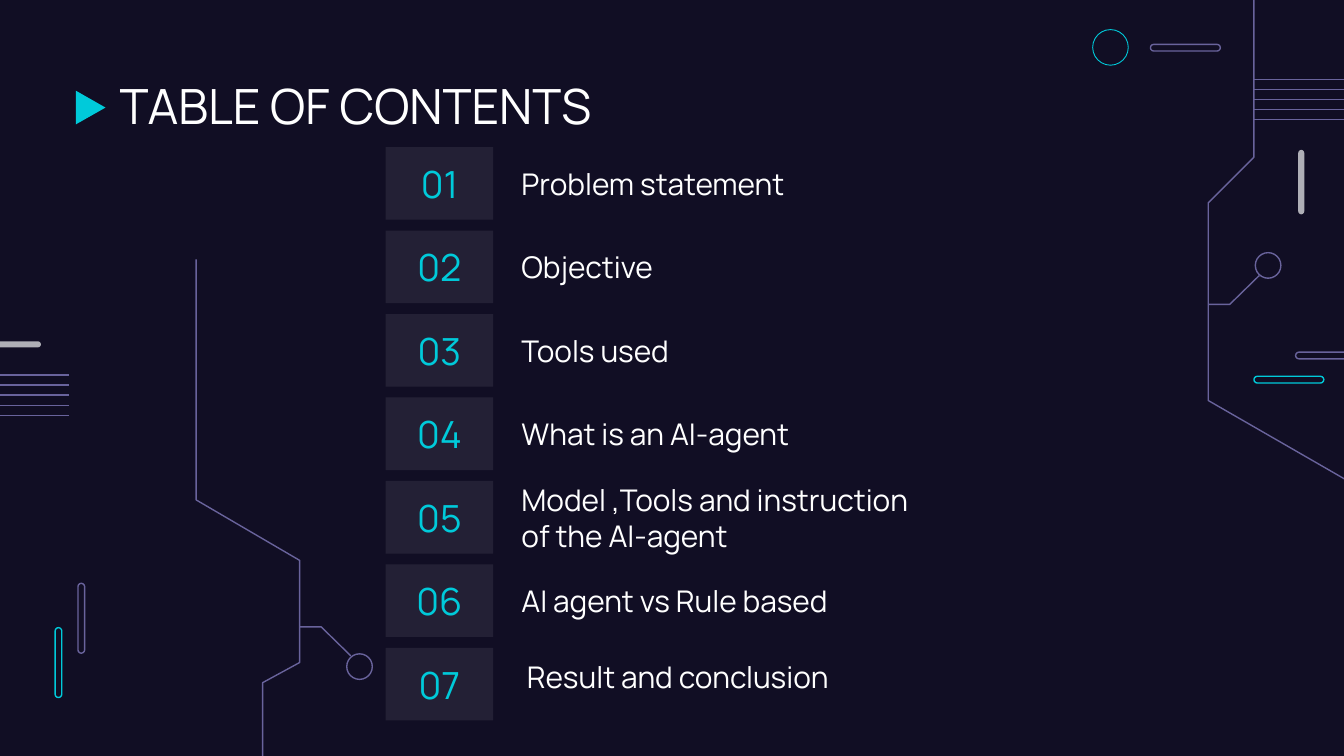
"""Build a table of contents slide framed by circuit lines."""
from copy import deepcopy
from lxml.etree import SubElement
from pptx import Presentation
from pptx.dml.color import RGBColor
from pptx.enum.shapes import MSO_CONNECTOR, MSO_SHAPE
from pptx.enum.text import MSO_ANCHOR, MSO_AUTO_SIZE, PP_ALIGN
from pptx.oxml.ns import qn
from pptx.util import Inches, Pt

NIGHT, CYAN, MAUVE, GREY, WHITE = "110E24", "00CADA", "69639C", "AFAFB6", "FFFFFF"
PILL, RING = MSO_SHAPE.ROUNDED_RECTANGLE, MSO_SHAPE.OVAL
TOP, MID = MSO_ANCHOR.TOP, MSO_ANCHOR.MIDDLE
LEFT, MIDST = PP_ALIGN.LEFT, PP_ALIGN.CENTER
TOPICS = ["Problem statement", "Objective", "Tools used", "What is an AI-agent",
          "Model ,Tools and instruction \vof the AI-agent", "AI agent vs Rule based",
          "Result and conclusion"]


def tint(fill, hue):
    """Fill with a hex colour, or clear the fill when there is none."""
    if hue:
        fill.solid()
        fill.fore_color.rgb = RGBColor.from_string(hue)
    else:
        fill.background()


def write(shape, text, size, hue, align, anchor):
    """Set the text of a shape and its format."""
    frame, pad = shape.text_frame, Inches(0.1)
    frame.text = text
    para = frame.paragraphs[0]
    looks = [
        (frame, {"word_wrap": True, "auto_size": MSO_AUTO_SIZE.NONE, "vertical_anchor": anchor,
                 "margin_left": pad, "margin_right": pad, "margin_top": pad, "margin_bottom": pad}),
        (para, {"alignment": align, "line_spacing": 1.0, "space_before": Pt(0)})]
    looks += [(run.font, {"name": "Manrope", "size": Pt(size), "bold": False}) for run in para.runs]
    for part, look in looks:
        for key, value in look.items():
            setattr(part, key, value)
    for run in para.runs:
        tint(run.font.fill, hue)


deck = Presentation()
deck.slide_width = Inches(10)
deck.slide_height = deck.slide_width * 9 // 16
cell = deck.slide_width // 100

layout = deck.slide_layouts[2]
body = layout.placeholders[1].element
for step in range(1, len(TOPICS)):
    twin = deepcopy(body)
    twin.ph.idx = 20 + step
    twin.nvSpPr.cNvPr.id = 20 + step
    body.getparent().append(twin)

slide = deck.slides.add_slide(layout)
shapes = slide.shapes
tint(slide.background.fill, NIGHT)
title, *items = slide.placeholders

spots = [(title, 7.9, 4.65, 84.3, 6.3)]
for row, (item, topic) in enumerate(zip(items, TOPICS)):
    y = 10.95 + 6.21 * row
    last = row == len(TOPICS) - 1
    wide = 52.3 if "\v" in topic else 29.7
    spots.append((item, 38.2 if last else 37.8, y - 0.6 if last else y, wide, 5.4))
    write(item, topic, 16, WHITE, LEFT, MID)

    card = shapes.add_shape(MSO_SHAPE.RECTANGLE, *(round(n * cell) for n in (28.7, y, 8, 5.4)))
    card.shadow.inherit = False
    tint(card.fill, WHITE)
    tint(card.line.fill, None)
    shade = card.element.spPr.find(qn("a:solidFill"))[0]
    SubElement(shade, qn("a:alpha"), val="8000")
    write(card, f"{row + 1:02}", 20, CYAN, MIDST, MID)

write(title, "TABLE OF CONTENTS", 26, WHITE, LEFT, TOP)
for shape, *box in spots:
    for side, n in zip(("left", "top", "width", "height"), box):
        setattr(shape, side, round(n * cell))

parts = []
for kind, x, y, wide, high, fill, edge in [
        (PILL, 4.1, 46.7, 0.5, 5.2, None, CYAN),
        (PILL, 5.8, 43.4, 0.5, 5.2, None, MAUVE),
        (PILL, 93.3, 28, 5.2, 0.5, None, CYAN),
        (PILL, 96.4, 26.2, 5.2, 0.5, None, MAUVE),
        (PILL, 85.6, 3.3, 5.2, 0.5, None, MAUVE),
        (PILL, 96.6, 11.15, 0.45, 4.8, GREY, None),
        (PILL, -1.8, 25.4, 4.85, 0.45, GREY, None),
        (RING, 81.3, 2.2, 2.65, 2.65, None, CYAN),
        (RING, 93.4, 18.8, 1.9, 1.9, None, MAUVE),
        (RING, 25.8, 48.65, 1.9, 1.9, None, MAUVE),
        (MSO_SHAPE.FLOWCHART_MERGE, 5.5, 6.9, 2.5, 2.2, CYAN, None)]:
    shape = shapes.add_shape(kind, *(round(n * cell) for n in (x, y, wide, high)))
    if kind == PILL:
        shape.adjustments[0] = 0.5
    if kind == MSO_SHAPE.FLOWCHART_MERGE:
        shape.rotation = 270
    parts.append((shape, fill, edge))

for trail in [
        [(93.7, 20.5), (91.5, 22.65), (89.9, 22.65)],
        [(101.2, 36.3), (89.9, 29.8), (89.9, 15.1), (93.3, 11.7), (93.3, -0.6)],
        [(26.1, 48.8), (23.9, 46.65), (22.3, 46.65)],
        [(14.6, 19.3), (14.6, 37.2), (22.3, 41.7), (22.3, 49.3), (19.55, 50.8), (19.55, 57.1)]]:
    start, *rest = [(round(x * cell), round(y * cell)) for x, y in trail]
    pen = shapes.build_freeform(*start)
    pen.add_line_segments(rest, close=False)
    parts.append((pen.convert_to_shape(), None, MAUVE))

for shape, fill, edge in parts:
    shape.shadow.inherit = False
    tint(shape.fill, fill)
    tint(shape.line.fill, edge)
    if edge:
        shape.line.width = Pt(0.47 if edge == CYAN and shape.width == shape.height else 0.75)

for x, end, top in [(93.3, 100, 5.9), (5.15, 0, 27.9)]:
    for step in range(5):
        y = round((top + 0.75 * step) * cell)
        wire = shapes.add_connector(MSO_CONNECTOR.STRAIGHT, round(x * cell), y, end * cell, y)
        tint(wire.line.fill, MAUVE)
        wire.line.width = Pt(0.75)
        SubElement(wire.element.spPr, qn("a:effectLst"))

deck.save("out.pptx")
